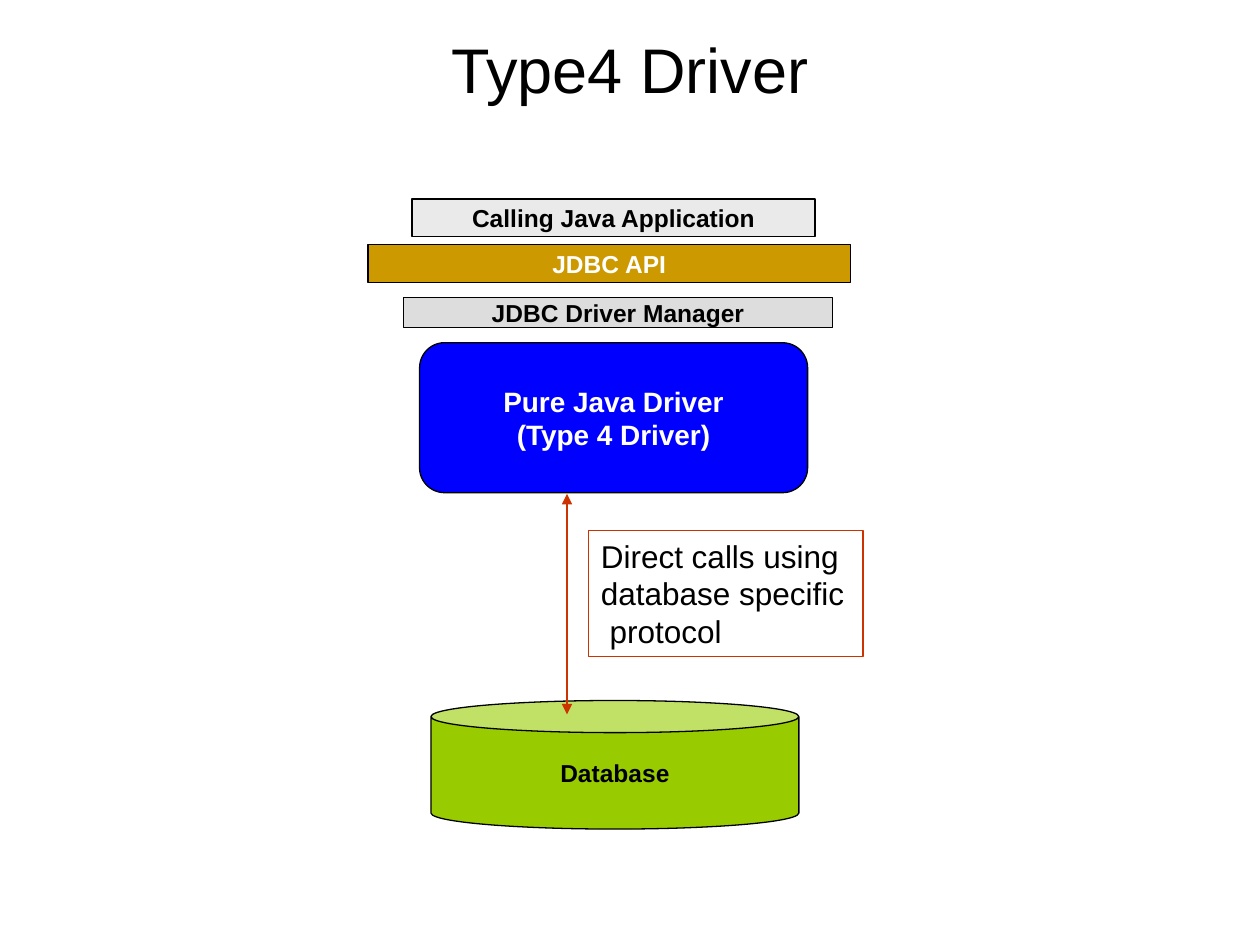
from dataclasses import dataclass

from lxml import etree
from pptx import Presentation
from pptx.dml.color import RGBColor
from pptx.enum.shapes import MSO_CONNECTOR, MSO_SHAPE
from pptx.enum.text import MSO_ANCHOR, PP_ALIGN
from pptx.oxml.ns import qn
from pptx.util import Inches, Pt

RECT, ROUND, CAN = MSO_SHAPE.RECTANGLE, MSO_SHAPE.ROUNDED_RECTANGLE, MSO_SHAPE.CAN
LEFT, CENTER = PP_ALIGN.LEFT, PP_ALIGN.CENTER
TOP, MIDDLE = MSO_ANCHOR.TOP, MSO_ANCHOR.MIDDLE
STRAIGHT = MSO_CONNECTOR.STRAIGHT
COLS, ROWS, CELL = 100, 75, 0.1


@dataclass(frozen=True)
class Theme:
    """Hold the colours, type sizes and line width."""
    font: str = "Arial"
    ink: str = "000000"
    white: str = "FFFFFF"
    app: str = "EAEAEA"
    api: str = "CC9900"
    boss: str = "DDDDDD"
    driver: str = "0000FF"
    store: str = "99CC00"
    link: str = "CC3300"
    title: int = 36
    note: int = 18
    head: int = 16
    label: int = 14
    line: float = 0.75


THEME = Theme()


@dataclass(frozen=True)
class Box:
    """Describe an area in grid columns and rows."""
    left: float
    top: float
    width: float
    height: float

    def inner(self, left, top, width, height):
        """Return an area offset from this one."""
        return Box(self.left + left, self.top + top, width, height)

    def place(self):
        """Return left, top, width and height as lengths."""
        return [grid(n) for n in (self.left, self.top, self.width, self.height)]


def grid(count):
    """Turn grid cells into a length."""
    return Inches(count * CELL)


def paint(color):
    """Turn a hex string into a colour."""
    return RGBColor.from_string(color)


def write(shape, lines, size, color, bold=False, align=CENTER, anchor=MIDDLE, wrap=False):
    """Write one paragraph for each line of text."""
    frame = shape.text_frame
    frame.word_wrap = wrap
    frame.vertical_anchor = anchor
    for i, line in enumerate(lines):
        para = frame.add_paragraph() if i else frame.paragraphs[0]
        para.alignment = align
        run = para.add_run()
        run.text = line
        run.font.name = THEME.font
        run.font.size = Pt(size)
        run.font.bold = bold
        run.font.color.rgb = paint(color)


def block(slide, box, kind, fill=None, edge=THEME.ink):
    """Add an outlined shape with an optional fill."""
    shape = slide.shapes.add_shape(kind, *box.place())
    shape.shadow.inherit = False
    if fill:
        shape.fill.solid()
        shape.fill.fore_color.rgb = paint(fill)
    else:
        shape.fill.background()
    shape.line.color.rgb = paint(edge)
    shape.line.width = Pt(THEME.line)
    return shape


def title(slide, box):
    """Add the slide title."""
    text = slide.shapes.add_textbox(*box.place())
    write(text, ["Type4 Driver"], THEME.title, THEME.ink, wrap=True)


def stack(slide, box):
    """Add the Java layers from application down to driver."""
    bars = [
        ("Calling Java Application", (3.5, 0, 32, 3), THEME.app, THEME.ink),
        ("JDBC API", (0, 3.6, box.width, 3), THEME.api, THEME.white),
        ("JDBC Driver Manager", (2.8, 7.8, 34.1, 2.4), THEME.boss, THEME.ink),
    ]
    for name, spot, fill, color in bars:
        bar = block(slide, box.inner(*spot), RECT, fill)
        write(bar, [name], THEME.label, color, bold=True)
    driver = block(slide, box.inner(4.1, 11.4, 30.8, 11.9), ROUND, THEME.driver)
    write(driver, ["Pure Java Driver", "(Type 4 Driver)"], THEME.head, THEME.white, bold=True)


def store(slide, box):
    """Add the database drum."""
    drum = block(slide, box, CAN, THEME.store)
    drum.adjustments[0] = 0.25
    write(drum, ["Database"], THEME.label, THEME.ink, bold=True)


def link(slide, box):
    """Add the two-way arrow and its note."""
    x, y = grid(box.left), grid(box.top)
    arrow = slide.shapes.add_connector(STRAIGHT, x, y, x, grid(box.top + box.height))
    arrow.line.color.rgb = paint(THEME.link)
    arrow.line.width = Pt(THEME.line)
    props = arrow.line._get_or_add_ln()
    for end in ("a:headEnd", "a:tailEnd"):
        etree.SubElement(props, qn(end), type="triangle")
    etree.SubElement(arrow._element.spPr, qn("a:effectLst"))
    note = block(slide, box.inner(1.7, 2.9, 21.8, 10), RECT, edge=THEME.link)
    lines = ["Direct calls using", "database specific", " protocol"]
    write(note, lines, THEME.note, THEME.ink, align=LEFT, anchor=TOP, wrap=True)


def main():
    """Build and save the slide."""
    deck = Presentation()
    deck.slide_width, deck.slide_height = grid(COLS), grid(ROWS)
    slide = deck.slides.add_slide(deck.slide_layouts[6])
    title(slide, Box(5, 3, 90, 4.9))
    stack(slide, Box(29.2, 15.8, 38.3, 23.3))
    store(slide, Box(34.2, 55.6, 29.2, 10.2))
    link(slide, Box(45, 39.2, 23.5, 17.5))
    deck.save("out.pptx")


if __name__ == "__main__":
    main()
